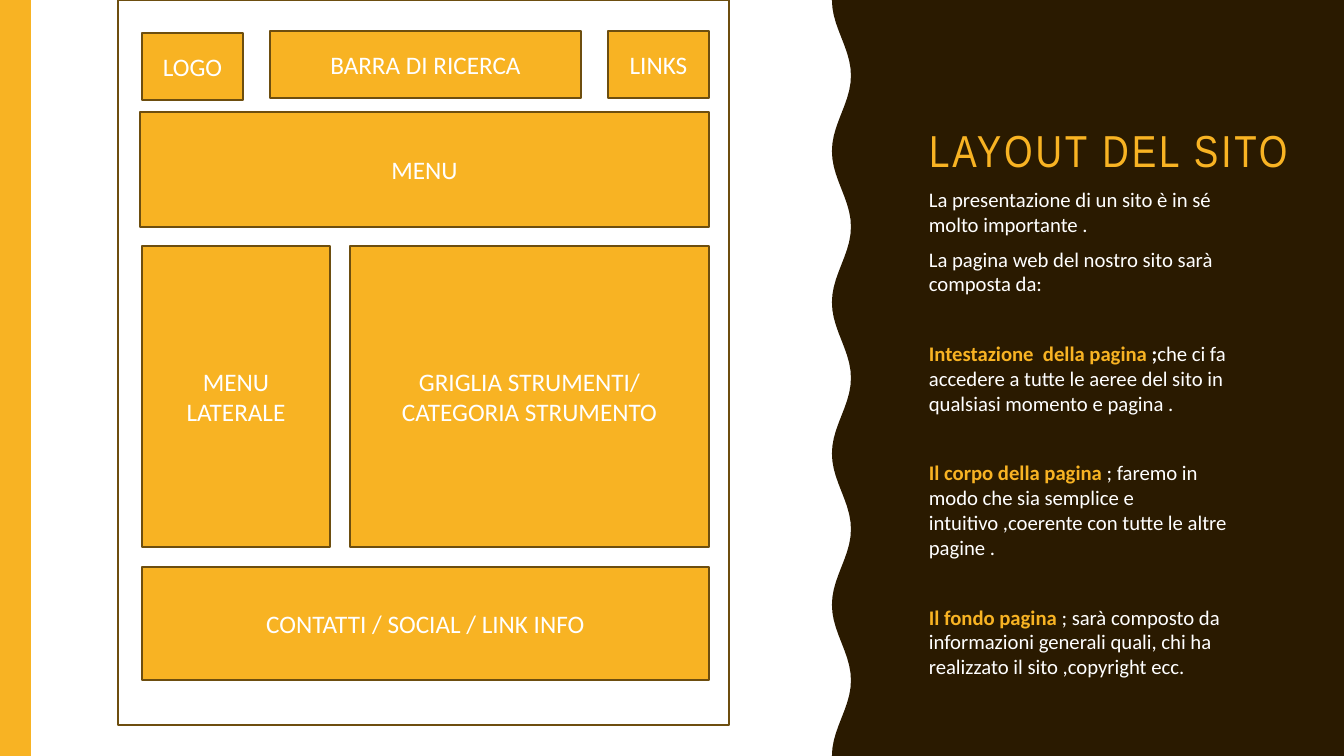
from dataclasses import dataclass
from math import cos, pi

from pptx import Presentation
from pptx.dml.color import RGBColor
from pptx.enum.shapes import MSO_SHAPE
from pptx.enum.text import MSO_ANCHOR, MSO_AUTO_SIZE, PP_ALIGN
from pptx.util import Pt

RECT = MSO_SHAPE.RECTANGLE
CENTER, LEFT = PP_ALIGN.CENTER, PP_ALIGN.LEFT
MIDDLE, BOTTOM, TOP = MSO_ANCHOR.MIDDLE, MSO_ANCHOR.BOTTOM, MSO_ANCHOR.TOP
NO_FIT = MSO_AUTO_SIZE.NONE

WIDTH, HEIGHT = 1344, 756
SCALE = 12192000 / WIDTH


@dataclass(frozen=True)
class Theme:
    gold: RGBColor = RGBColor(0xF8, 0xB3, 0x23)
    dark: RGBColor = RGBColor(0x2A, 0x1A, 0x00)
    edge: RGBColor = RGBColor(0x6D, 0x4E, 0x0F)
    white: RGBColor = RGBColor(0xFF, 0xFF, 0xFF)
    head: str = "Arial Narrow"
    text: str = "Calibri"
    title: float = 32
    label: float = 18
    body: float = 14.8
    gap: float = 7
    wide: float = 32


THEME = Theme()

TITLE = "LAYOUT DEL SITO"
TITLE_BOX = (919, 50, 393, 132)
BODY_BOX = (919, 182, 341, 466)

# Space before, then runs of (text, colour, bold)
BODY = [
    (0, [("La presentazione di un sito è in sé molto importante .", THEME.white, False)]),
    (THEME.gap, [("La pagina web del nostro sito sarà composta da:", THEME.white, False)]),
    (THEME.wide, [
        ("Intestazione  della pagina ", THEME.gold, True),
        (";", THEME.white, True),
        ("che ci fa accedere a tutte le aeree del sito in qualsiasi momento e pagina .",
         THEME.white, False),
    ]),
    (THEME.wide, [
        ("Il corpo della pagina ", THEME.gold, True),
        ("; faremo in modo che sia semplice e intuitivo ,coerente con tutte le altre pagine .",
         THEME.white, False),
    ]),
    (THEME.wide, [
        ("Il fondo pagina ", THEME.gold, True),
        ("; sarà composto da informazioni generali quali, chi ha realizzato il sito ,copyright ecc.",
         THEME.white, False),
    ]),
]

STRIPE = (0, 0, 31, HEIGHT)
PAGE = (118, 0, 611, 725)
BLOCKS = [
    ("LOGO", (142, 33, 101, 67)),
    ("BARRA DI RICERCA", (270, 31, 311, 67)),
    ("LINKS", (608, 31, 101, 67)),
    ("MENU", (140, 112, 569, 115)),
    ("MENU\nLATERALE", (142, 246, 188, 301)),
    ("GRIGLIA STRUMENTI/\nCATEGORIA STRUMENTO", (350, 246, 359, 301)),
    ("CONTATTI / SOCIAL / LINK INFO", (142, 567, 567, 113)),
]

# Wavy left side of the dark panel
WAVE_MID, WAVE_AMP, WAVES, STEPS = 841.5, 9.5, 5, 100


def emu(box):
    return [round(v * SCALE) for v in box]


def paint(shape, fill, line=None):
    shape.shadow.inherit = False
    shape.fill.solid()
    shape.fill.fore_color.rgb = fill
    if line is None:
        shape.line.fill.background()
    else:
        shape.line.color.rgb = line
        shape.line.width = Pt(1)


def add_rect(shapes, box, fill, line=None):
    rect = shapes.add_shape(RECT, *emu(box))
    paint(rect, fill, line)
    return rect


def add_panel(shapes):
    wave = []
    for i in range(STEPS + 1):
        part = i / STEPS
        x = WAVE_MID - WAVE_AMP * cos(2 * pi * WAVES * part)
        wave.append(emu((x, HEIGHT * part)))
    pen = shapes.build_freeform(*emu((WIDTH, 0)), scale=1.0)
    pen.add_line_segments(wave + [emu((WIDTH, HEIGHT))], close=True)
    paint(pen.convert_to_shape(), THEME.dark)


def set_font(font, name, size, color):
    font.name, font.size = name, Pt(size)
    font.color.rgb = color


def add_block(shapes, label, box):
    frame = add_rect(shapes, box, THEME.gold, THEME.edge).text_frame
    frame.word_wrap = True
    frame.vertical_anchor = MIDDLE
    frame.text = label
    for para in frame.paragraphs:
        para.alignment = CENTER
        set_font(para.font, THEME.text, THEME.label, THEME.white)


def set_title(shapes):
    title = shapes.title
    title.left, title.top, title.width, title.height = emu(TITLE_BOX)
    shapes._spTree.append(title._element)  # bring in front of the panel
    frame = title.text_frame
    frame.text = TITLE
    frame.word_wrap = True
    frame.auto_size = NO_FIT
    frame.vertical_anchor = BOTTOM
    para = frame.paragraphs[0]
    para.alignment = LEFT
    para.line_spacing = 0.9
    set_font(para.font, THEME.head, THEME.title, THEME.gold)
    para.runs[0]._r.get_or_add_rPr().set("spc", "200")


def add_body(shapes):
    frame = shapes.add_textbox(*emu(BODY_BOX)).text_frame
    frame.word_wrap = True
    frame.vertical_anchor = TOP
    for i, (space, runs) in enumerate(BODY):
        para = frame.add_paragraph() if i else frame.paragraphs[0]
        para.space_before = Pt(space)
        para.font.name, para.font.size = THEME.text, Pt(THEME.body)
        for text, color, bold in runs:
            run = para.add_run()
            run.text = text
            run.font.bold = bold
            run.font.color.rgb = color


def main():
    deck = Presentation()
    deck.slide_width, deck.slide_height = emu((WIDTH, HEIGHT))
    shapes = deck.slides.add_slide(deck.slide_layouts[5]).shapes
    add_rect(shapes, STRIPE, THEME.gold)
    add_panel(shapes)
    set_title(shapes)
    add_body(shapes)
    add_rect(shapes, PAGE, THEME.white, THEME.edge)
    for label, box in BLOCKS:
        add_block(shapes, label, box)
    deck.save("out.pptx")


if __name__ == "__main__":
    main()
